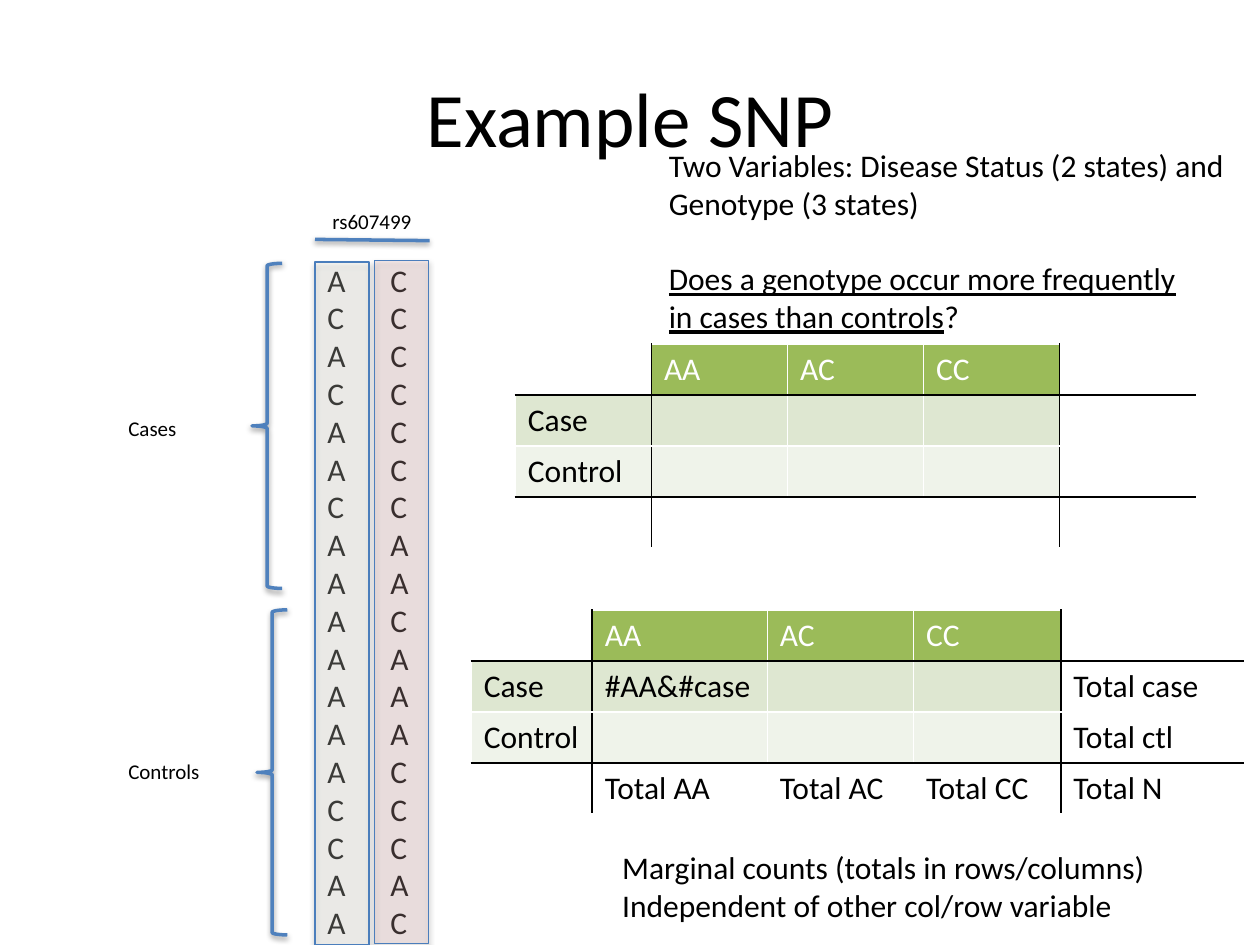
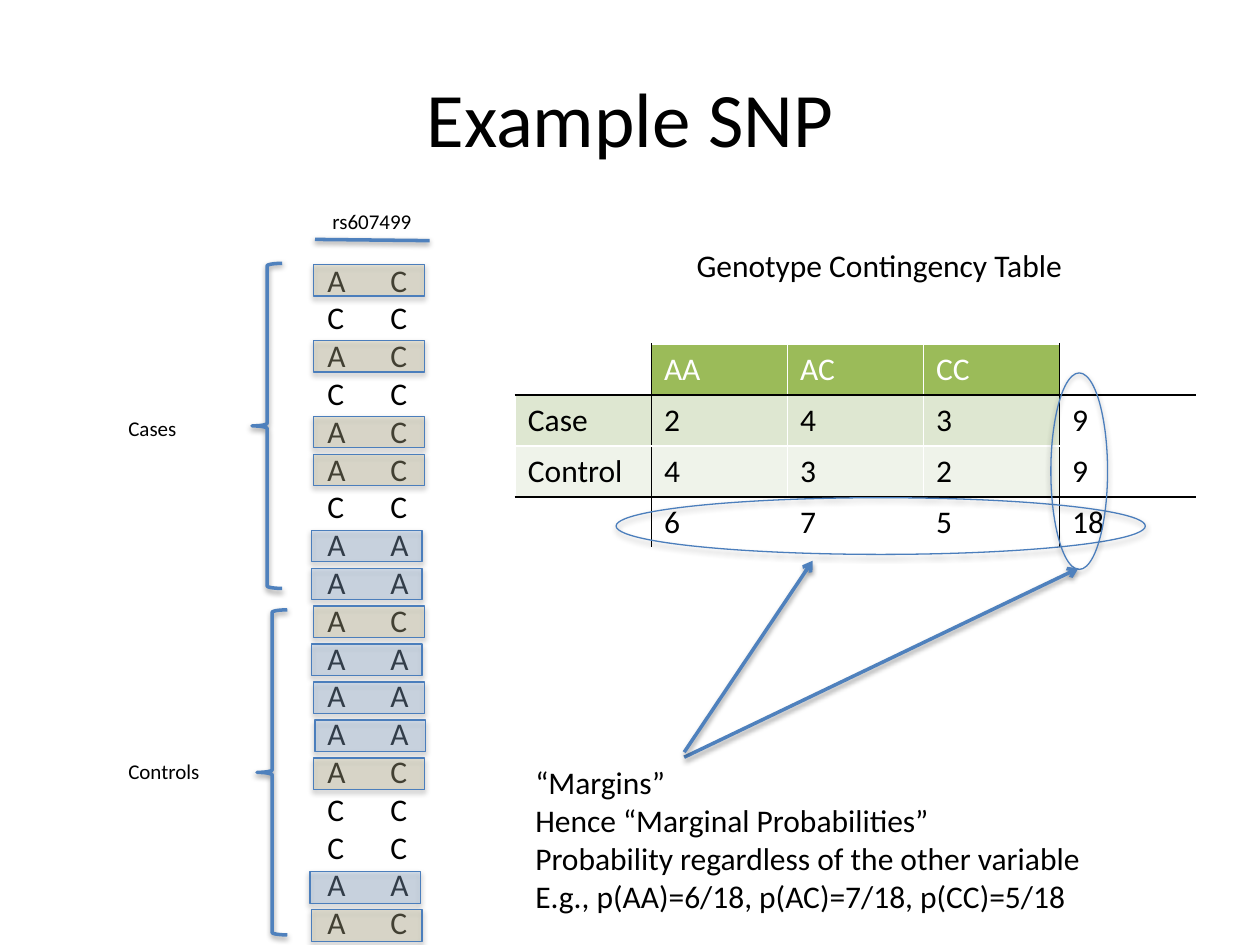
import dataclasses

import pptx
import pptx.dml.color
import pptx.enum.shapes
import pptx.enum.text
import pptx.oxml.ns
import pptx.util
from lxml import etree

Inches = pptx.util.Inches
Pt = pptx.util.Pt
SHAPE = pptx.enum.shapes.MSO_SHAPE


@dataclasses.dataclass(frozen=True)
class Theme:
    font: str = "Calibri"
    black: str = "000000"
    white: str = "FFFFFF"
    accent: str = "4F81BD"
    outline: str = "4B7EBC"
    header: str = "9BBB59"
    bands: tuple = ("DEE7D1", "EFF3EA")
    first_allele: str = "EEECE1"
    second_allele: str = "E6B9B8"
    tan: str = "C4BD97"
    blue: str = "95B3D7"
    title: int = 44
    body: int = 18
    label: int = 12


THEME = Theme()

# Content
TITLE = "Example SNP"
SNP_NAME = "rs607499"
GENOTYPES = ["AC", "CC", "AC", "CC", "AC", "AC", "CC", "AA", "AA",
             "AC", "AA", "AA", "AA", "AC", "CC", "CC", "AA", "AC"]
# Group name, label (left, top, width, height), brace (left, top, width, height)
GROUPS = [
    ("Cases", (0.92, 3.25, 0.59, 0.3), (2, 2.09, 0.24, 2.58)),
    ("Controls", (0.92, 5.97, 0.77, 0.3), (2.04, 4.84, 0.24, 2.58)),
]
QUESTION = [
    "Two Variables: Disease Status (2 states) and",
    "Genotype (3 states)",
    "Does a genotype occur more frequently",
    "in cases than controls",
]
MARGINAL_NOTE = [
    "Marginal counts (totals in rows/columns)",
    "Independent of other col/row variable",
]
MARGINS_NOTE = [
    "“Margins”",
    "Hence “Marginal Probabilities”",
    "Probability regardless of the other variable",
    "E.g., p(AA)=6/18, p(AC)=7/18, p(CC)=5/18",
]
HEADER = ["", "AA", "AC", "CC", ""]
EMPTY_TABLE = [HEADER, ["Case"] + [""] * 4, ["Control"] + [""] * 4, [""] * 5]
TOTALS_TABLE = [
    HEADER,
    ["Case", "#AA&#case", "", "", "Total case"],
    ["Control", "", "", "", "Total ctl"],
    ["", "Total AA", "Total AC", "Total CC", "Total N"],
]
COUNTS_TABLE = [
    HEADER,
    ["Case", "2", "4", "3", "9"],
    ["Control", "4", "3", "2", "9"],
    ["", "6", "7", "5", "18"],
]

# Layout in inches
EVEN_COLUMNS = [1.08] * 5
TOTALS_COLUMNS = [0.96, 1.39, 1.16, 1.17, 1.45]
TABLE_HEIGHT = 1.62
MAIN_TABLE_AT = (4.09, 2.73)
GENOTYPE_PITCH = 5.12 / 17
HIGHLIGHT_LEFT = 2.49
HIGHLIGHT_SHIFTED = {7: 2.47, 8: 2.47, 10: 2.47, 12: 2.5, 16: 2.46, 17: 2.47}
MARGIN_ELLIPSES = [(4.89, 3.95, 4.2, 0.45), (8.34, 2.96, 0.45, 1.56)]
MARGIN_ARROWS = [((5.43, 6.01), (8.56, 4.51)), ((5.43, 5.97), (6.45, 4.45))]


def rgb(color):
    return pptx.dml.color.RGBColor.from_string(color)


def sub(parent, tag, **attributes):
    return etree.SubElement(parent, pptx.oxml.ns.qn(tag), attributes)


def format_span(span, size, color=THEME.black):
    span.font.name = THEME.font
    span.font.size = Pt(size)
    span.font.color.rgb = rgb(color)


def add_text(page, place, lines, size=THEME.body, wrap=False):
    box = page.shapes.add_textbox(*map(Inches, place))
    frame = box.text_frame
    frame.word_wrap = wrap
    frame.text = "\n".join(lines)
    for para in frame.paragraphs:
        for span in para.runs:
            format_span(span, size)
    return frame


def add_shadow(shape, blur, distance, opacity):
    """Drop a soft black shadow straight down; call after fill and line."""
    effects = sub(shape._element.spPr, "a:effectLst")
    shadow = sub(effects, "a:outerShdw", blurRad=str(Pt(blur)), dist=str(Pt(distance)),
                 dir="5400000", rotWithShape="0")
    color = sub(shadow, "a:srgbClr", val=THEME.black)
    sub(color, "a:alpha", val=str(opacity * 1000))


def add_outline(page, kind, place, fill=None, opacity=100):
    """Thin outlined shape, clear or filled with a see-through colour."""
    shape = page.shapes.add_shape(kind, *map(Inches, place))
    if fill:
        shape.fill.solid()
        shape.fill.fore_color.rgb = rgb(fill)
        color = shape._element.spPr.find(".//" + pptx.oxml.ns.qn("a:srgbClr"))
        sub(color, "a:alpha", val=str(opacity * 1000))
    else:
        shape.fill.background()
    shape.line.color.rgb = rgb(THEME.outline)
    shape.line.width = Pt(0.75)
    add_shadow(shape, 3.1, 1.8, 35)


def add_brace(page, place):
    brace = page.shapes.add_shape(SHAPE.LEFT_BRACE, *map(Inches, place))
    brace.fill.background()
    finish_heavy_line(brace)


def finish_heavy_line(shape, arrow=False):
    shape.line.color.rgb = rgb(THEME.accent)
    shape.line.width = Pt(2)
    if arrow:
        sub(shape.line._get_or_add_ln(), "a:tailEnd", type="arrow")
    add_shadow(shape, 3.1, 1.6, 38)


def add_line(page, start, end, arrow=False):
    line = page.shapes.add_connector(
        pptx.enum.shapes.MSO_CONNECTOR.STRAIGHT, *map(Inches, start + end))
    finish_heavy_line(line, arrow)


def cell_fill(row, column):
    if row == 0 and 1 <= column <= 3:
        return THEME.header
    if row in (1, 2) and column <= 3:
        return THEME.bands[row - 1]
    return THEME.white


def set_borders(cell, row, column):
    """Black rules set off the header, the row names and the margins."""
    black_sides = {
        "a:lnL": column in (1, 4), "a:lnR": column in (0, 3),
        "a:lnT": row in (1, 3), "a:lnB": row in (0, 2),
    }
    properties = cell._tc.get_or_add_tcPr()
    for side, black in black_sides.items():
        line = sub(properties, side, w=str(Pt(1)))
        fill = sub(line, "a:solidFill")
        sub(fill, "a:srgbClr", val=THEME.black if black else THEME.white)


def add_contingency_table(page, at, rows, widths):
    place = (*at, sum(widths), TABLE_HEIGHT)
    table = page.shapes.add_table(len(rows), len(widths), *map(Inches, place)).table
    table.first_row = table.horz_banding = False
    for column, width in zip(table.columns, widths):
        column.width = Inches(width)
    for r, values in enumerate(rows):
        for c, value in enumerate(values):
            cell = table.cell(r, c)
            set_borders(cell, r, c)
            cell.fill.solid()
            cell.fill.fore_color.rgb = rgb(cell_fill(r, c))
            cell.text = value
            for span in cell.text_frame.paragraphs[0].runs:
                format_span(span, THEME.body, THEME.white if r == 0 else THEME.black)


def add_snp_page(deck):
    """Blank page with the title, the genotype list and the group braces."""
    page = deck.slides.add_slide(deck.slide_layouts[6])
    title = add_text(page, (0.5, 0.3, 9, 1.25), [TITLE], THEME.title, wrap=True)
    title.vertical_anchor = pptx.enum.text.MSO_ANCHOR.MIDDLE
    title.paragraphs[0].alignment = pptx.enum.text.PP_ALIGN.CENTER

    genotypes = add_text(page, (2.5, 2.02, 1, 5.5), ["\t".join(g) for g in GENOTYPES], wrap=True)
    for para in genotypes.paragraphs:
        stops = sub(para._p.get_or_add_pPr(), "a:tabLst")
        sub(stops, "a:tab", pos=str(Inches(0.5)), algn="l")

    add_text(page, (2.54, 1.61, 0.84, 0.3), [SNP_NAME], THEME.label)
    add_line(page, (2.5, 1.9), (3.41, 1.91))
    for name, label_place, brace_place in GROUPS:
        add_text(page, label_place, [name], THEME.label)
        add_brace(page, brace_place)
    return page


def build_question_page(deck):
    page = add_snp_page(deck)
    add_outline(page, SHAPE.RECTANGLE, (2.5, 2.08, 0.43, 5.42), THEME.first_allele, 25)
    add_outline(page, SHAPE.RECTANGLE, (2.97, 2.07, 0.43, 5.42), THEME.second_allele, 25)

    # Question, underlined up to its question mark
    question = add_text(page, (5.21, 1.11, 4.66, 1.62), QUESTION)
    question.paragraphs[2].space_before = Pt(21.6)
    for para in question.paragraphs[2:]:
        para.runs[0].font.underline = True
    mark = question.paragraphs[3].add_run()
    mark.text = "?"
    format_span(mark, THEME.body)

    add_contingency_table(page, (3.74, 4.84), TOTALS_TABLE, TOTALS_COLUMNS)
    add_text(page, (4.84, 6.68, 4.4, 0.71), MARGINAL_NOTE)
    add_contingency_table(page, MAIN_TABLE_AT, EMPTY_TABLE, EVEN_COLUMNS)


def build_counts_page(deck):
    page = add_snp_page(deck)
    add_text(page, (5.43, 1.9, 4.07, 0.4), ["Genotype Contingency Table"], wrap=True)

    # Genotypes other than CC are highlighted
    colors = {"AC": THEME.tan, "AA": THEME.blue}
    for index, genotype in enumerate(GENOTYPES):
        if genotype in colors:
            left = HIGHLIGHT_SHIFTED.get(index, HIGHLIGHT_LEFT)
            place = (left, 2.1 + index * GENOTYPE_PITCH, 0.88, 0.25)
            add_outline(page, SHAPE.RECTANGLE, place, colors[genotype], 34)

    # Counts with their margins circled
    add_contingency_table(page, MAIN_TABLE_AT, COUNTS_TABLE, EVEN_COLUMNS)
    add_text(page, (4.15, 6.01, 4.57, 1.31), MARGINS_NOTE)
    for place in MARGIN_ELLIPSES:
        add_outline(page, SHAPE.OVAL, place)
    for start, end in MARGIN_ARROWS:
        add_line(page, start, end, arrow=True)


def main():
    deck = pptx.Presentation()
    deck.slide_width, deck.slide_height = Inches(10), Inches(7.5)
    build_question_page(deck)
    build_counts_page(deck)
    deck.save("out.pptx")


if __name__ == "__main__":
    main()
